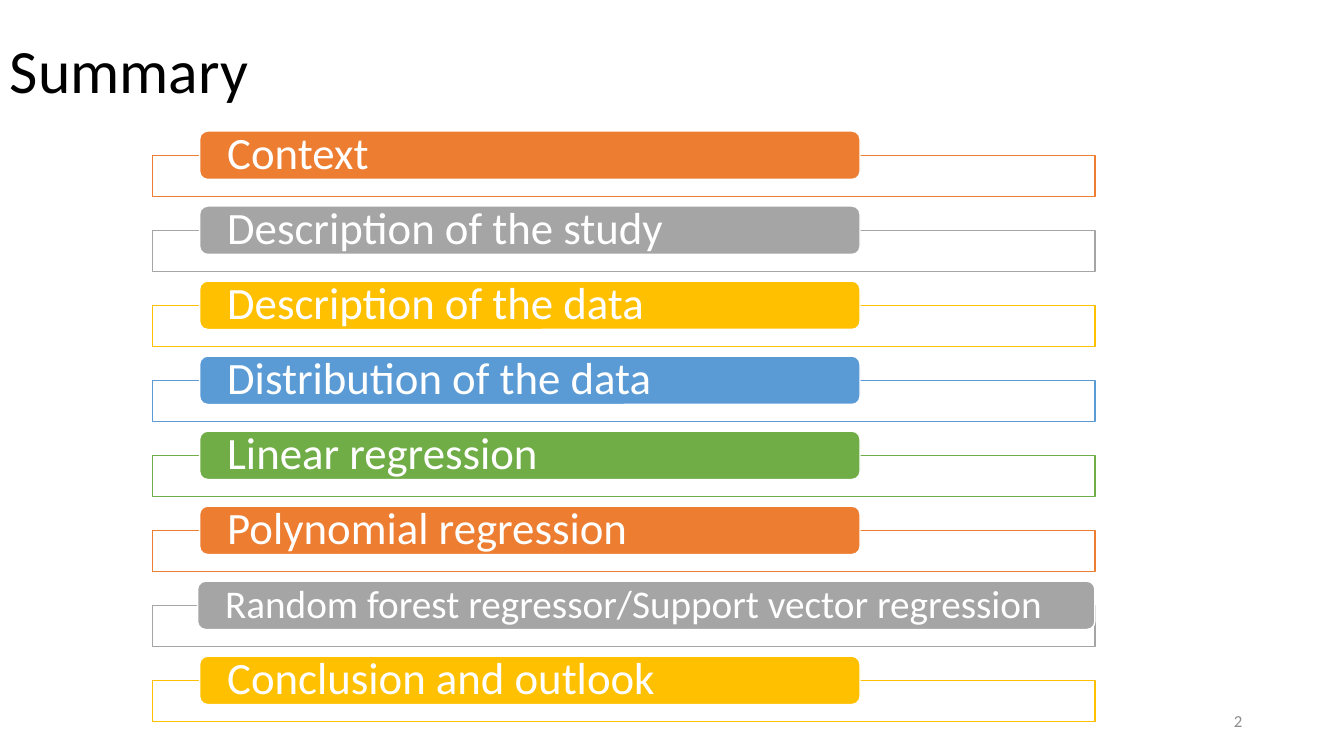
"""Build the summary slide: a title, eight coloured agenda entries and a page number."""
from dataclasses import dataclass
from itertools import cycle

from pptx import Presentation
from pptx.dml.color import RGBColor
from pptx.enum.shapes import MSO_SHAPE
from pptx.enum.text import MSO_ANCHOR, PP_ALIGN
from pptx.util import Inches, Pt

RECTANGLE, ROUNDED = MSO_SHAPE.RECTANGLE, MSO_SHAPE.ROUNDED_RECTANGLE
MIDDLE = MSO_ANCHOR.MIDDLE
LEFT, RIGHT = PP_ALIGN.LEFT, PP_ALIGN.RIGHT

BLACK = RGBColor(0x00, 0x00, 0x00)
WHITE = RGBColor(0xFF, 0xFF, 0xFF)
PAGE_GRAY = RGBColor(0x8C, 0x8C, 0x8C)
ORANGE = RGBColor(0xED, 0x7D, 0x31)
GRAY = RGBColor(0xA5, 0xA5, 0xA5)
GOLD = RGBColor(0xFF, 0xC0, 0x00)
BLUE = RGBColor(0x5B, 0x9B, 0xD5)
GREEN = RGBColor(0x70, 0xAD, 0x47)
ACCENTS = (ORANGE, GRAY, GOLD, BLUE, GREEN)

FONT = "Calibri"
FIRST_ROW, LAST_ROW = 1.3, 6.51
FRAME_LEFT, FRAME_WIDTH, FRAME_HEIGHT = 1.51, 9.35, 0.41
LABEL_HEIGHT = 0.48
LABEL_INSET = 0.25


@dataclass(frozen=True)
class Entry:
    topic: str
    left: float = 1.98
    width: float = 6.55
    size: int = 32


ENTRIES = (
    Entry("Context"),
    Entry("Description of the study"),
    Entry("Description of the data"),
    Entry("Distribution of the data"),
    Entry("Linear regression"),
    Entry("Polynomial regression"),
    Entry("Random forest regressor/Support vector regression", 1.96, 8.9, 28),
    Entry("Conclusion and outlook"),
)
ROW_PITCH = (LAST_ROW - FIRST_ROW) / (len(ENTRIES) - 1)


def write(holder, text: str, size: int, color: RGBColor,
          align=LEFT, spacing: float = 1.0) -> None:
    frame = holder.text_frame
    frame.word_wrap = True
    frame.vertical_anchor = MIDDLE
    frame.text = text
    paragraph = frame.paragraphs[0]
    paragraph.alignment = align
    paragraph.line_spacing = spacing
    font = paragraph.runs[0].font
    font.name, font.size = FONT, Pt(size)
    font.color.rgb = color


def add_box(slide, kind, left: float, top: float, width: float, height: float,
            fill: RGBColor, line: RGBColor):
    box = slide.shapes.add_shape(kind, *map(Inches, (left, top, width, height)))
    box.shadow.inherit = False
    box.fill.solid()
    box.fill.fore_color.rgb = fill
    box.line.color.rgb = line
    box.line.width = Pt(1)
    return box


def add_entry(slide, entry: Entry, top: float, accent: RGBColor) -> None:
    add_box(slide, RECTANGLE, FRAME_LEFT, top + LABEL_HEIGHT / 2,
            FRAME_WIDTH, FRAME_HEIGHT, WHITE, accent)
    label = add_box(slide, ROUNDED, entry.left, top, entry.width, LABEL_HEIGHT,
                    accent, WHITE)
    write(label, entry.topic, entry.size, WHITE, spacing=0.9)
    frame = label.text_frame
    frame.margin_left = frame.margin_right = Inches(LABEL_INSET)
    frame.margin_top = frame.margin_bottom = 0


def add_text(slide, left: float, top: float, width: float, height: float):
    return slide.shapes.add_textbox(*map(Inches, (left, top, width, height)))


presentation = Presentation()
presentation.slide_width, presentation.slide_height = Inches(13.33), Inches(7.5)
summary = presentation.slides.add_slide(presentation.slide_layouts[6])

write(add_text(summary, 0, 0, 11.5, 1.45), "Summary", 44, BLACK, spacing=0.9)
write(add_text(summary, 9.42, 6.95, 3, 0.4), "2", 12, PAGE_GRAY, align=RIGHT)
for row, (entry, accent) in enumerate(zip(ENTRIES, cycle(ACCENTS))):
    add_entry(summary, entry, FIRST_ROW + row * ROW_PITCH, accent)

presentation.save("out.pptx")
